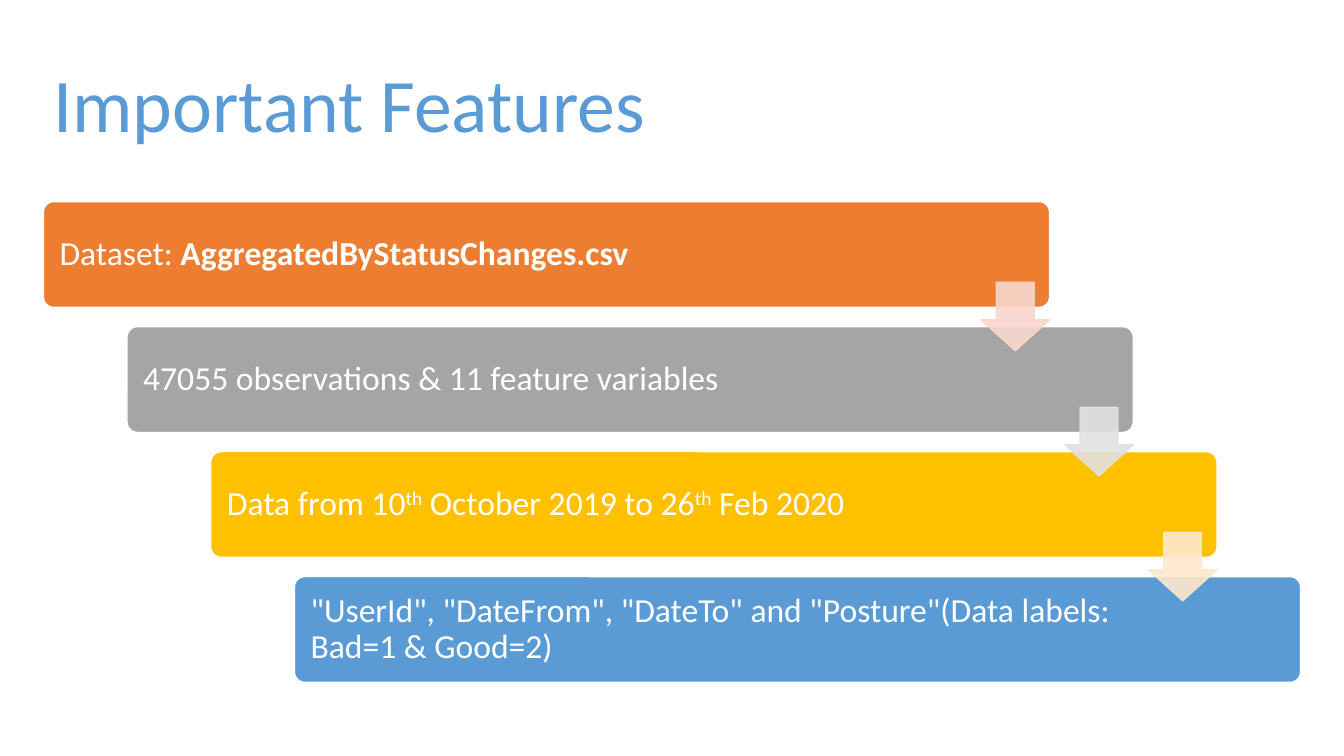
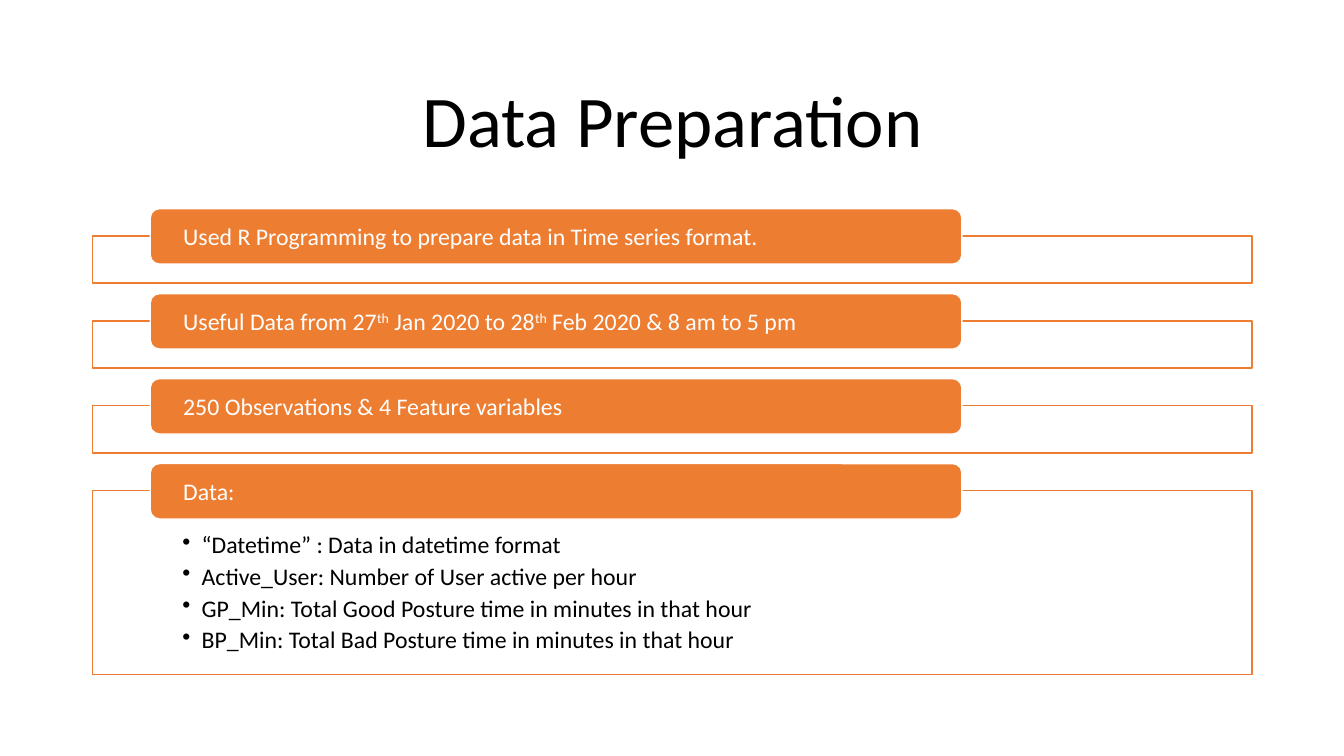
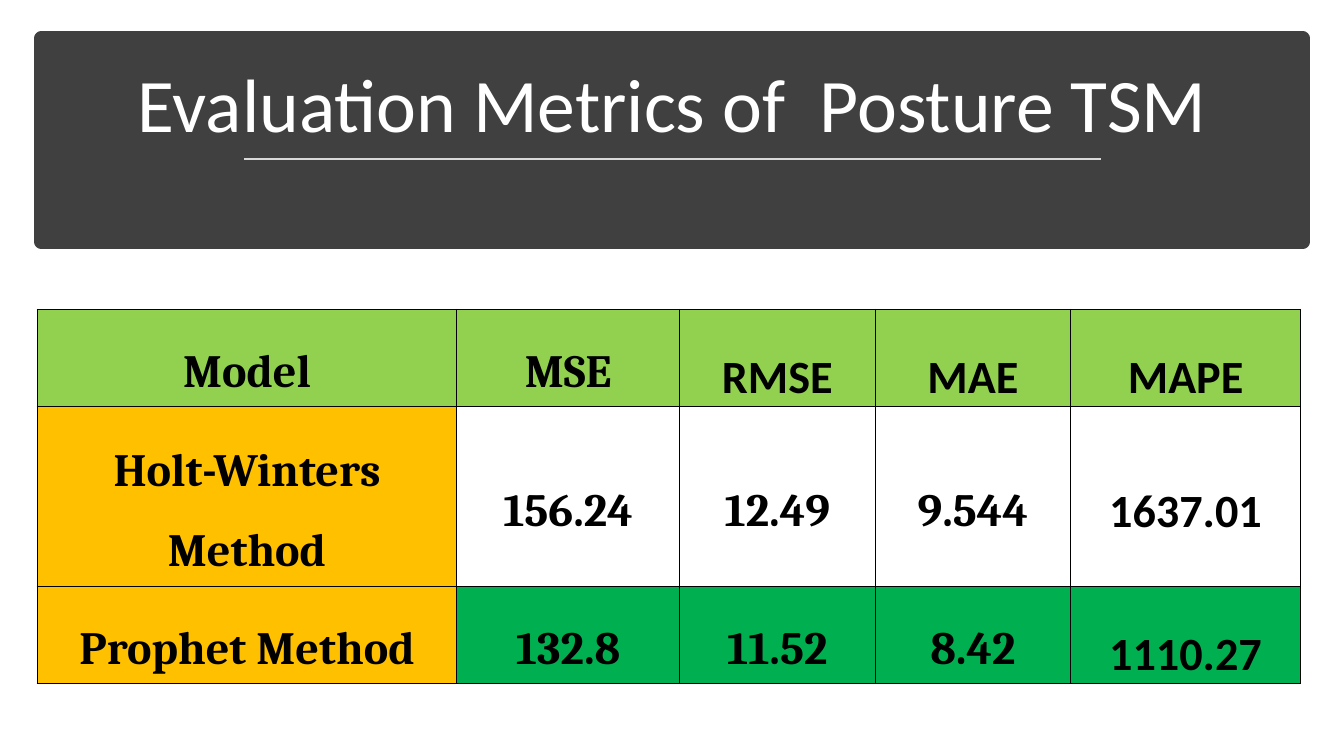
from lxml import etree
from pptx import Presentation
from pptx.dml.color import RGBColor
from pptx.enum.shapes import MSO_CONNECTOR, MSO_SHAPE
from pptx.enum.text import MSO_ANCHOR as ANCHOR, MSO_AUTO_SIZE, PP_ALIGN as ALIGN
from pptx.oxml.ns import qn
from pptx.util import Inches, Pt

SANS, SERIF = "Calibri", "Cambria"
WHITE, BLACK, ORANGE, BLUE, GOLD = "FFFFFF", "000000", "ED7D31", "5B9BD5", "FFC000"
CHARCOAL, RULE_GREY, LIME, GREEN = "404040", "D9D9D9", "92D050", "00B050"
TH = ("th", "super")

FEATURES = [
    (ORANGE, "F8D7CE", ["Dataset: ", ("AggregatedByStatusChanges.csv", "bold")]),
    ("A5A5A5", "E1E1E1", ["47055 observations & 11 feature variables"]),
    (GOLD, "FFE8CC", ["Data from 10", TH, " October 2019 to 26", TH, " Feb 2020"]),
    (BLUE, None, ['"UserId", "DateFrom", "DateTo" and "Posture"(Data labels:', "\v",
                  "Bad=1 & Good=2)"]),
]
STEPS = [
    (["Used R Programming to prepare data in Time series format."], []),
    (["Useful Data from 27", TH, " Jan 2020 to 28", TH, " Feb 2020 & 8 am to 5 pm"], []),
    (["250 Observations & 4 Feature variables"], []),
    (["Data:"], [
        "“Datetime” : Data in datetime format",
        "Active_User: Number of User active per hour",
        "GP_Min: Total Good Posture time in minutes in that hour",
        "BP_Min: Total Bad Posture time in minutes in that hour",
    ]),
]
METRICS = [
    ["Model", "MSE", "RMSE", "MAE", "MAPE"],
    ["Holt-Winters Method", "156.24", "12.49", "9.544", "1637.01"],
    ["Prophet Method", "132.8", "11.52", "8.42", "1110.27"],
]
METRIC_FILLS = [[LIME] * 5, [GOLD] + [None] * 4, [GOLD] + [GREEN] * 4]
METRIC_FONTS = [[SERIF] * 2 + [SANS] * 3] + [[SERIF] * 4 + [SANS]] * 2
METRIC_COLS = [4.16, 2.21, 1.94, 1.94, 2.28]
METRIC_ROWS = [0.96, 1.79, 0.96]


def rgb(value):
    return RGBColor.from_string(value)


def inches(*values):
    return [Inches(value) for value in values]


def set_font(run, size, color, face=SANS, bold=None):
    font = run.font
    font.size, font.name, font.bold = Pt(size), face, bold
    font.color.rgb = rgb(color)


def set_margins(target, left, top, right, bottom):
    target.margin_left, target.margin_top, target.margin_right, target.margin_bottom = \
        inches(left, top, right, bottom)


def write_rich(paragraph, pieces, size, color):
    for piece in pieces:
        if piece == "\v":
            paragraph.add_line_break()
            continue
        words, style = piece if isinstance(piece, tuple) else (piece, None)
        run = paragraph.add_run()
        run.text = words
        set_font(run, size, color, bold=style == "bold" or None)
        if style == "super":
            run._r.get_or_add_rPr().set("baseline", "30000")


def add_title(prs, words, box, size, color, align, anchor=ANCHOR.MIDDLE):
    slide = prs.slides.add_slide(prs.slide_layouts[5])
    title = slide.shapes.title
    title.left, title.top, title.width, title.height = inches(*box)
    frame = title.text_frame
    frame.text = words
    frame.auto_size = MSO_AUTO_SIZE.NONE
    frame.vertical_anchor = anchor
    paragraph = frame.paragraphs[0]
    paragraph.alignment, paragraph.line_spacing = align, 0.9
    set_font(paragraph.runs[0], size, color)
    return slide


def add_block(slide, kind, box, fill, line, adjust=(), alpha=None, line_alpha=None, width=1):
    block = slide.shapes.add_shape(kind, *inches(*box))
    block.shadow.inherit = False
    block.fill.solid()
    block.fill.fore_color.rgb = rgb(fill)
    block.line.color.rgb = rgb(line)
    block.line.width = Pt(width)
    for index, value in enumerate(adjust):
        block.adjustments[index] = value
    properties = block._element.spPr
    for holder, share in ((properties, alpha), (properties.find(qn("a:ln")), line_alpha)):
        if share:
            color = holder.find(qn("a:solidFill"))[0]
            etree.SubElement(color, qn("a:alpha")).set("val", str(share * 1000))
    return block


def open_text(block, margins, anchor=ANCHOR.MIDDLE):
    frame = block.text_frame
    frame.word_wrap = True
    frame.vertical_anchor = anchor
    set_margins(frame, *margins)
    frame.paragraphs[0].alignment = ALIGN.LEFT
    return frame


def add_bullets(block, items):
    frame = open_text(block, (0.89, 0.39, 0.89, 0.13), ANCHOR.TOP)
    frame.text = "\n".join(items)
    for paragraph in frame.paragraphs:
        paragraph.alignment = ALIGN.LEFT
        paragraph.space_after = Pt(2.2)
        set_font(paragraph.runs[0], 17, BLACK)
        properties = paragraph._p.get_or_add_pPr()
        properties.set("marL", str(Inches(0.19)))
        properties.set("indent", str(-Inches(0.19)))
        etree.SubElement(properties, qn("a:buChar")).set("char", "•")


def set_borders(cell, color):
    properties = cell._tc.get_or_add_tcPr()
    for index, side in enumerate(("lnL", "lnR", "lnT", "lnB")):
        edge = etree.Element(qn("a:" + side), w=str(Pt(1)))
        fill = etree.SubElement(edge, qn("a:solidFill"))
        etree.SubElement(fill, qn("a:srgbClr")).set("val", color)
        properties.insert(index, edge)


def features_slide(prs):
    slide = add_title(prs, "Important Features", (0.43, 0.35, 12.48, 1.45), 54, BLUE, ALIGN.LEFT)
    left, top, width, height = 0.43, 2, 9.98, 1.05
    step_x, step_y, arrow = 0.83, 1.24, 0.68
    for index, (color, _, pieces) in enumerate(FEATURES):
        bar = add_block(slide, MSO_SHAPE.ROUNDED_RECTANGLE,
                        (left + index * step_x, top + index * step_y, width, height),
                        color, WHITE, [0.1])
        paragraph = open_text(bar, (0.13, 0.13, 1.25, 0.13)).paragraphs[0]
        paragraph.line_spacing = 0.9
        write_rich(paragraph, pieces, 24, WHITE)
    for index, (_, tint, _) in enumerate(FEATURES[:-1]):
        add_block(slide, MSO_SHAPE.DOWN_ARROW,
                  (left + width - arrow + index * step_x, top + 0.8 + index * step_y, arrow, arrow),
                  tint, tint, [0.55, 0.45], 90, 90)


def preparation_slide(prs):
    slide = add_title(prs, "Data Preparation", (0.92, 0.61, 11.5, 1.24), 52, BLACK, ALIGN.CENTER)
    for index, (pieces, bullets) in enumerate(STEPS):
        top = 2.07 + index * 0.843
        panel = add_block(slide, MSO_SHAPE.RECTANGLE,
                          (0.92, top + 0.27, 11.5, 1.82 if bullets else 0.47),
                          WHITE, ORANGE, alpha=90)
        if bullets:
            add_bullets(panel, bullets)
        label = add_block(slide, MSO_SHAPE.ROUNDED_RECTANGLE, (1.49, top, 8.05, 0.55),
                          ORANGE, WHITE)
        write_rich(open_text(label, (0.3, 0, 0.3, 0)).paragraphs[0], pieces, 17, WHITE)


def metrics_slide(prs):
    slide = add_title(prs, "Evaluation Metrics of  Posture TSM", (0.58, 0.51, 12.18, 1.02),
                      54, WHITE, ALIGN.CENTER, ANCHOR.BOTTOM)
    band = add_block(slide, MSO_SHAPE.RECTANGLE, (0.41, 0.38, 12.51, 2.02),
                     CHARCOAL, CHARCOAL, width=10)
    slide.shapes.title._element.addprevious(band._element)
    rule = slide.shapes.add_connector(MSO_CONNECTOR.STRAIGHT, *inches(2.42, 1.58, 10.92, 1.58))
    rule.line.color.rgb = rgb(RULE_GREY)
    rule.line.width = Pt(1.75)
    etree.SubElement(rule._element.spPr, qn("a:effectLst"))

    table = slide.shapes.add_table(len(METRICS), len(METRIC_COLS), *inches(
        0.37, 3.07, sum(METRIC_COLS), sum(METRIC_ROWS))).table
    table.first_row = table.horz_banding = False
    for column, width in zip(table.columns, METRIC_COLS):
        column.width = Inches(width)
    for r, (row, height) in enumerate(zip(table.rows, METRIC_ROWS)):
        row.height = Inches(height)
        for c, cell in enumerate(row.cells):
            face, fill = METRIC_FONTS[r][c], METRIC_FILLS[r][c]
            cell.text = METRICS[r][c]
            set_margins(cell, 0.21, 0.03, 0.21, 0)
            cell.vertical_anchor = ANCHOR.BOTTOM if face == SANS and r != 1 else ANCHOR.MIDDLE
            paragraph = cell.text_frame.paragraphs[0]
            paragraph.alignment, paragraph.line_spacing = ALIGN.CENTER, 1.5
            set_font(paragraph.runs[0], 33, BLACK, face, True)
            if fill:
                cell.fill.solid()
                cell.fill.fore_color.rgb = rgb(fill)
            else:
                cell.fill.background()
            set_borders(cell, BLACK)


def main():
    prs = Presentation()
    prs.slide_width, prs.slide_height = inches(13.33, 7.5)
    features_slide(prs)
    preparation_slide(prs)
    metrics_slide(prs)
    prs.save("out.pptx")


if __name__ == "__main__":
    main()
